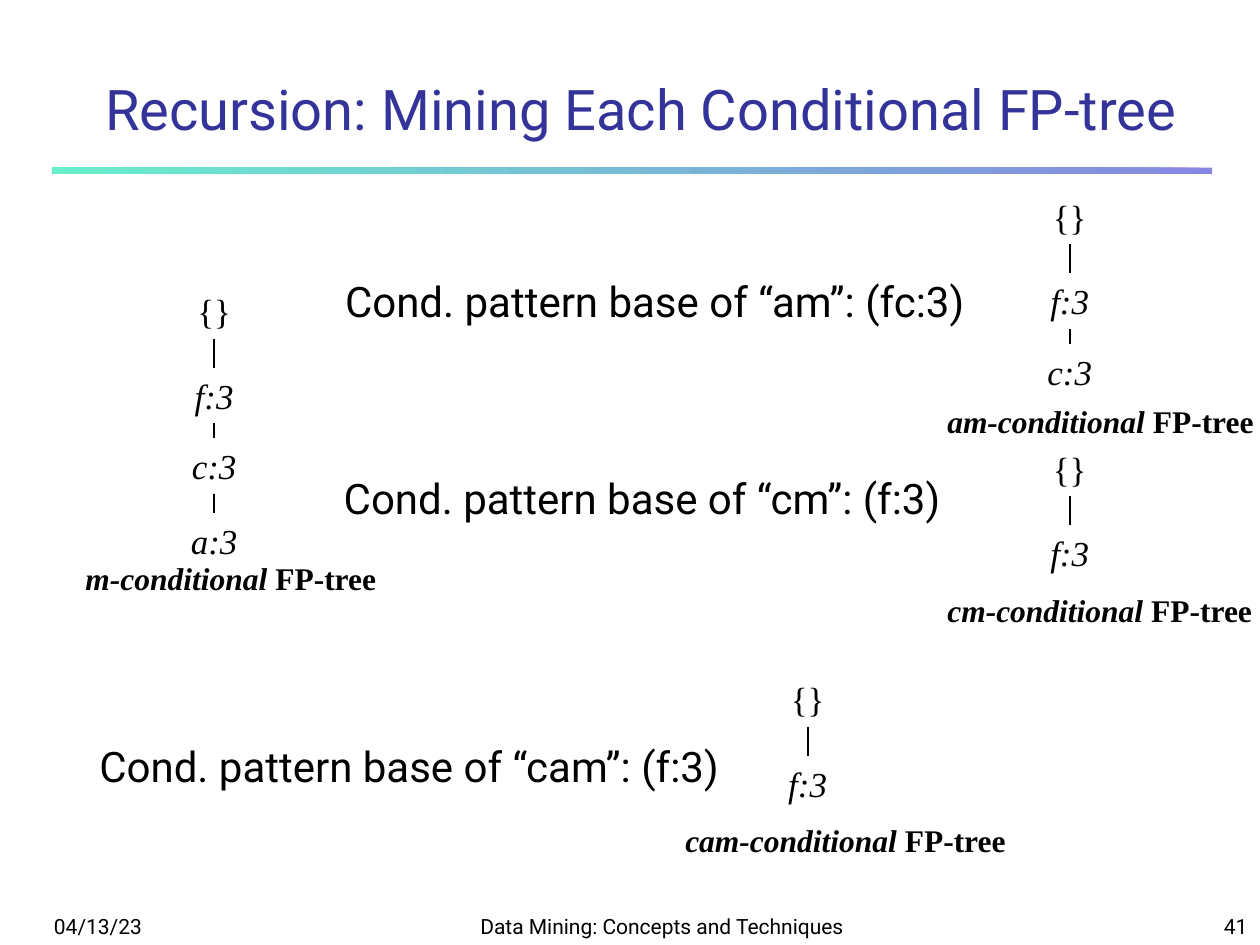
import pptx
import pptx.dml.color
import pptx.enum.dml
import pptx.enum.shapes
import pptx.enum.text
import pptx.oxml.ns
import pptx.util
from lxml import etree

PX = 9144  # EMU per px, 100 px to the inch
COLORS = {"text": "000000", "title": "333399", "bar_right": "3333CC", "bar_left": "00E4A8"}
ALIGN = pptx.enum.text.PP_ALIGN
ANCHOR = pptx.enum.text.MSO_ANCHOR
SANS, SERIF = "Roboto", "Times New Roman"


def rgb(name):
    return pptx.dml.color.RGBColor.from_string(COLORS[name])


def add_text(box, runs, size, font, color="text", align=ALIGN.LEFT, anchor=ANCHOR.TOP, wrap=False):
    """Add a text box; runs is a list of (text, extra font values)."""
    sp = s.shapes.add_textbox(*[v * PX for v in box])
    tf = sp.text_frame
    fit = pptx.enum.text.MSO_AUTO_SIZE
    frame = {"word_wrap": wrap, "vertical_anchor": anchor,
             "auto_size": fit.NONE if wrap else fit.SHAPE_TO_FIT_TEXT}
    for name, value in frame.items():
        setattr(tf, name, value)
    p = tf.paragraphs[0]
    p.alignment = align
    for text, extra in runs:
        r = p.add_run()
        r.text = text
        values = {"size": pptx.util.Pt(size), "name": font, **extra}
        for name, value in values.items():
            setattr(r.font, name, value)
        r.font.color.rgb = rgb(color)
    return sp


prs = pptx.Presentation()
prs.slide_width, prs.slide_height = 1000 * PX, 750 * PX
s = prs.slides.add_slide(prs.slide_layouts[6])

# Gradient bar under the title
bar = s.shapes.add_shape(pptx.enum.shapes.MSO_SHAPE.RECTANGLE, 42 * PX, 133 * PX, 920 * PX, 5 * PX)
bar.shadow.inherit = False
bar.line.fill.background()
bar.fill.gradient()
bar.fill.gradient_angle = 180
for stop, name, pos in zip(bar.fill.gradient_stops, ("bar_right", "bar_left"), (0, 1)):
    stop.color.rgb = rgb(name)
    stop.position = pos
for clr in bar._element.spPr.iter(pptx.oxml.ns.qn("a:srgbClr")):
    etree.SubElement(clr, pptx.oxml.ns.qn("a:alpha"), val="59000")

# Footer
for left, width, text, align in [
    (33, 208, "04/13/23", ALIGN.LEFT),
    (367, 317, "Data Mining: Concepts and Techniques", ALIGN.CENTER),
    (792, 208, "41", ALIGN.RIGHT),
]:
    add_text((left, 708, width, 42), [(text, {})], 12, SANS,
             align=align, anchor=ANCHOR.BOTTOM, wrap=True)

# Title
add_text((42, 42, 934, 75), [("Recursion: Mining Each Conditional FP-tree", {})], 32, SANS,
         "title", ALIGN.CENTER, ANCHOR.BOTTOM, True)

# Conditional pattern bases
for left, top, width, text in [
    (264, 214, 535, "Cond. pattern base of “am”: (fc:3)"),
    (263, 370, 516, "Cond. pattern base of “cm”: (f:3)"),
    (69, 583, 535, "Cond. pattern base of “cam”: (f:3)"),
]:
    add_text((left, top, width, 50), [(text, {})], 24, SANS)

# Nodes from the root down: label and offset from the root
NODES = [("{}", 0), ("f:3", 67), ("c:3", 123), ("a:3", 182)]
NODE_W, NODE_H = 64, 44

# Trees: name, centre x, root top, node count, caption left, top and width
for name, cx, top, count, cap_left, cap_top, cap_width in [
    ("m", 170, 225, 4, 58, 439, 251),
    ("am", 849, 150, 3, 742, 314, 263),
    ("cm", 849, 350, 2, 742, 464, 262),
    ("cam", 641, 533, 2, 534, 647, 275),
]:
    parent = None
    for label, dy in NODES[:count]:
        node = add_text((cx - NODE_W // 2, top + dy, NODE_W, NODE_H),
                        [(label, {"italic": label != "{}"})], 20, SERIF, align=ALIGN.CENTER)
        if parent is not None:
            link = s.shapes.add_connector(pptx.enum.shapes.MSO_CONNECTOR.STRAIGHT, 0, 0, 0, 0)
            link.begin_connect(parent, 2)
            link.end_connect(node, 0)
            link.line.width = pptx.util.Pt(1)
            link.line.color.rgb = rgb("text")
            etree.SubElement(link._element.spPr, pptx.oxml.ns.qn("a:effectLst"))
        parent = node
    add_text((cap_left, cap_top, cap_width, 40),
             [(f"{name}-conditional ", {"bold": True, "italic": True}),
              ("FP-tree", {"bold": True})], 18, SERIF)

prs.save("out.pptx")
